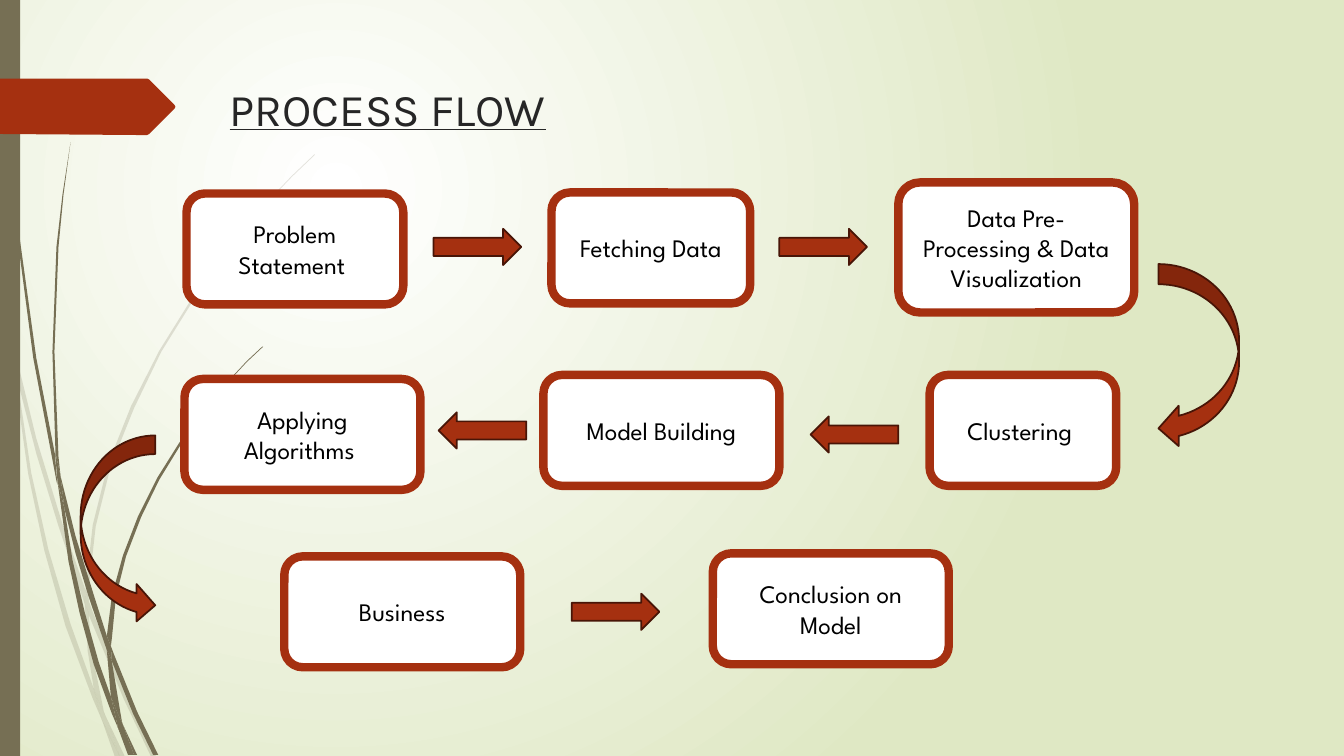
import pptx
import pptx.util
import pptx.dml.color
import pptx.enum.shapes
import pptx.enum.text
import pptx.oxml
import pptx.oxml.ns
from lxml import etree

Inches = pptx.util.Inches
Pt = pptx.util.Pt
SHAPE = pptx.enum.shapes.MSO_SHAPE
qn = pptx.oxml.ns.qn

THEME = {
    "rust": "A53010", "dark_rust": "481507", "olive": "766F54",
    "white": "FFFFFF", "pale_green": "DFE8C4",
    "title_ink": "262626", "step_ink": "000000",
    "title_font": "Karla", "step_font": "League Spartan",
    "title_size": 32.4, "step_size": 18,
    "step_border": 6, "arrow_border": 1.25,
}


def paint(shape, fill, line=None, width=0):
    shape.shadow.inherit = False
    shape.fill.solid()
    shape.fill.fore_color.rgb = pptx.dml.color.RGBColor.from_string(THEME[fill])
    if line:
        shape.line.color.rgb = pptx.dml.color.RGBColor.from_string(THEME[line])
        shape.line.width = Pt(width)
    else:
        shape.line.fill.background()


def outline(shapes, points, fill):
    corners = [(Inches(x), Inches(y)) for x, y in points]
    builder = shapes.build_freeform(*corners[0], scale=1.0)
    builder.add_line_segments(corners[1:], close=True)
    piece = builder.convert_to_shape()
    paint(piece, fill)
    return piece


deck = pptx.Presentation()
deck.slide_width = Inches(13.33)
deck.slide_height = Inches(7.5)
slide = deck.slides.add_slide(deck.slide_layouts[6])
shapes = slide.shapes

backdrop = slide.background.fill
backdrop.gradient()
for stop, colour in zip(backdrop.gradient_stops, ("white", "pale_green")):
    stop.color.rgb = pptx.dml.color.RGBColor.from_string(THEME[colour])
backdrop.gradient_stops[0].position = 0
backdrop.gradient_stops[1].position = 1
gradient = slide.background._cSld.find(".//" + qn("a:gradFill"))
gradient.remove(gradient.find(qn("a:lin")))
glow = etree.SubElement(gradient, qn("a:path"), path="circle")
etree.SubElement(glow, qn("a:fillToRect"), l="50000", t="50000", r="100000", b="100000")

faint_grass = [
    [(0.11, 3.5), (0.09, 3.22), (0, 2.82), (0, 2.99), (0.1, 3.44)],
    [(0.58, 5.22), (0.84, 5.99), (0.85, 5.86), (0.62, 5.2), (0.36, 4.35), (0.14, 3.45),
     (0.17, 3.76), (0.36, 4.5)],
    [(0.92, 6.07), (0.88, 5.96), (0.88, 6.1), (1.23, 6.94), (1.5, 7.51), (1.55, 7.51), (1.27, 6.92)],
    [(1.19, 7.51), (1.24, 7.51), (1.05, 7.11)],
    [(0.93, 6.83), (0.7, 6.19), (0.48, 5.45), (0.31, 4.69), (0.17, 3.76), (0.11, 3.5),
     (0.28, 4.7), (0.44, 5.46), (0.65, 6.21), (0.92, 6.93), (1.01, 7.14), (0.99, 7.07)],
    [(0.84, 5.99), (0.87, 6.46), (0.93, 6.83), (0.96, 6.92), (1.05, 7.11), (1.03, 7.06),
     (0.91, 6.46), (0.88, 6.1), (0.88, 6.08)],
    [(0.88, 5.84), (0.95, 5.22), (1.1, 4.62), (1.33, 4.05), (1.6, 3.49), (1.93, 2.96),
     (2.29, 2.45), (2.68, 1.98), (2.9, 1.75), (3.12, 1.54), (3.12, 1.53), (2.89, 1.75),
     (2.68, 1.97), (2.28, 2.44), (1.91, 2.95), (1.58, 3.48), (1.3, 4.03), (1.07, 4.61),
     (0.92, 5.21), (0.85, 5.84), (0.85, 5.86), (0.88, 5.96)],
    [(1.01, 7.14), (1.14, 7.51), (1.19, 7.51)],
    [(0.88, 6.08), (0.88, 6.1), (0.88, 5.96), (0.85, 5.86), (0.84, 5.99)],
    [(0.96, 6.92), (0.93, 6.83), (0.99, 7.07), (1.01, 7.14), (1.19, 7.51), (1.05, 7.11)],
]
bold_grass = [
    [(0.07, 1.1), (0.17, 2.33), (0.33, 3.55), (0.56, 4.77), (0.57, 4.81), (0.55, 4.57),
     (0.55, 4.53), (0.36, 3.55), (0.19, 2.32), (0.08, 1.09), (0.05, 0.48), (0.04, 0),
     (0.03, 0), (0.04, 0.48)],
    [(0.88, 5.92), (1.06, 6.45), (1.06, 6.31), (0.93, 5.9), (0.75, 5.32), (0.6, 4.72),
     (0.64, 5.05), (0.75, 5.49)],
    [(1.13, 6.49), (1.1, 6.41), (1.11, 6.56), (1.32, 7.08), (1.52, 7.49), (1.57, 7.49), (1.36, 7.06)],
    [(1.1, 6.91), (0.98, 6.57), (0.84, 6.07), (0.72, 5.56), (0.64, 5.05), (0.57, 4.77),
     (0.68, 5.57), (0.79, 6.08), (0.93, 6.59), (1.11, 7.08), (1.17, 7.22), (1.16, 7.17)],
    [(0.6, 4.72), (0.58, 4.53), (0.54, 3.49), (0.58, 2.45), (0.63, 1.93), (0.7, 1.41),
     (0.62, 1.93), (0.56, 2.45), (0.52, 3.49), (0.55, 4.49)],
    [(1.33, 7.49), (1.36, 7.49), (1.22, 7.19)],
    [(0.57, 4.77), (0.64, 5.05), (0.6, 4.72), (0.55, 4.49), (0.55, 4.53)],
    [(1.11, 6.33), (1.15, 5.92), (1.25, 5.52), (1.4, 5.13), (1.58, 4.76), (1.8, 4.4),
     (2.05, 4.06), (2.31, 3.74), (2.45, 3.59), (2.61, 3.44), (2.6, 3.44), (2.45, 3.58),
     (2.31, 3.73), (2.04, 4.05), (1.78, 4.39), (1.56, 4.74), (1.37, 5.12), (1.22, 5.51),
     (1.11, 5.91), (1.06, 6.31), (1.1, 6.41)],
    [(1.17, 7.22), (1.27, 7.49), (1.31, 7.49)],
    [(1.06, 6.45), (1.1, 6.91), (1.16, 7.06), (1.22, 7.19), (1.21, 7.16), (1.11, 6.56), (1.09, 6.51)],
    [(1.06, 6.45), (1.09, 6.51), (1.11, 6.56), (1.1, 6.41), (1.06, 6.31)],
    [(1.16, 7.06), (1.1, 6.91), (1.16, 7.17), (1.17, 7.22), (1.3, 7.49), (1.33, 7.49), (1.22, 7.19)],
]
for blade in faint_grass:
    stalk = outline(shapes, blade, "olive")
    tint = stalk.fill._xPr.find(".//" + qn("a:srgbClr"))
    etree.SubElement(tint, qn("a:alpha"), val="20000")
for blade in bold_grass:
    outline(shapes, blade, "olive")

side_band = shapes.add_shape(SHAPE.RECTANGLE, 0, 0, Inches(0.2), Inches(7.5))
paint(side_band, "olive")
outline(shapes, [(0, 0.78), (1.46, 0.78), (1.48, 0.79), (1.73, 1.04), (1.74, 1.06),
                 (1.73, 1.08), (1.48, 1.33), (1.46, 1.34), (1.36, 1.34), (0, 1.33)], "rust")

heading = shapes.add_textbox(Inches(2.18), Inches(0.76), Inches(7.9), Inches(0.68))
heading.text_frame.word_wrap = True
heading_run = heading.text_frame.paragraphs[0].add_run()
heading_run.text = "PROCESS FLOW"
heading_run.font.name = THEME["title_font"]
heading_run.font.size = Pt(THEME["title_size"])
heading_run.font.underline = True
heading_run.font.color.rgb = pptx.dml.color.RGBColor.from_string(THEME["title_ink"])

steps = [
    ("Problem Statement ", 1.85, 1.92, 2.15, 1.1),
    ("Fetching Data", 5.47, 1.91, 1.97, 1.1),
    ("Data Pre-Processing & Data Visualization", 8.91, 1.81, 2.34, 1.29),
    ("Clustering ", 9.22, 3.72, 1.85, 1.1),
    ("Model Building", 5.39, 3.72, 2.34, 1.1),
    ("Applying Algorithms ", 1.83, 3.76, 2.34, 1.1),
    ("Business", 2.82, 5.52, 2.34, 1.1),
    ("Conclusion on Model", 7.07, 5.49, 2.34, 1.1),
]
for label, *place in steps:
    step = shapes.add_shape(SHAPE.ROUNDED_RECTANGLE, *map(Inches, place))
    paint(step, "white", "rust", THEME["step_border"])
    step.text_frame.word_wrap = True
    step.text_frame.vertical_anchor = pptx.enum.text.MSO_ANCHOR.MIDDLE
    paragraph = step.text_frame.paragraphs[0]
    paragraph.alignment = pptx.enum.text.PP_ALIGN.CENTER
    label_run = paragraph.add_run()
    label_run.text = label
    label_run.font.name = THEME["step_font"]
    label_run.font.size = Pt(THEME["step_size"])
    label_run.font.color.rgb = pptx.dml.color.RGBColor.from_string(THEME["step_ink"])

flow_arrows = [
    (SHAPE.RIGHT_ARROW, 0, 4.3, 2.27, 0.87, 0.36),
    (SHAPE.RIGHT_ARROW, 0, 7.73, 2.27, 0.87, 0.36),
    (SHAPE.RIGHT_ARROW, 180, 8.04, 4.13, 0.87, 0.36),
    (SHAPE.RIGHT_ARROW, 180, 4.35, 4.09, 0.87, 0.36),
    (SHAPE.RIGHT_ARROW, 0, 5.67, 5.89, 0.87, 0.36),
    (SHAPE.CURVED_LEFT_ARROW, 0, 11.49, 2.62, 0.8, 1.83),
    (SHAPE.CURVED_RIGHT_ARROW, 0, 0.8, 4.32, 0.74, 1.87),
]
for kind, turn, *place in flow_arrows:
    flow_arrow = shapes.add_shape(kind, *map(Inches, place))
    flow_arrow.rotation = turn
    paint(flow_arrow, "rust", "dark_rust", THEME["arrow_border"])

deck.save("out.pptx")
